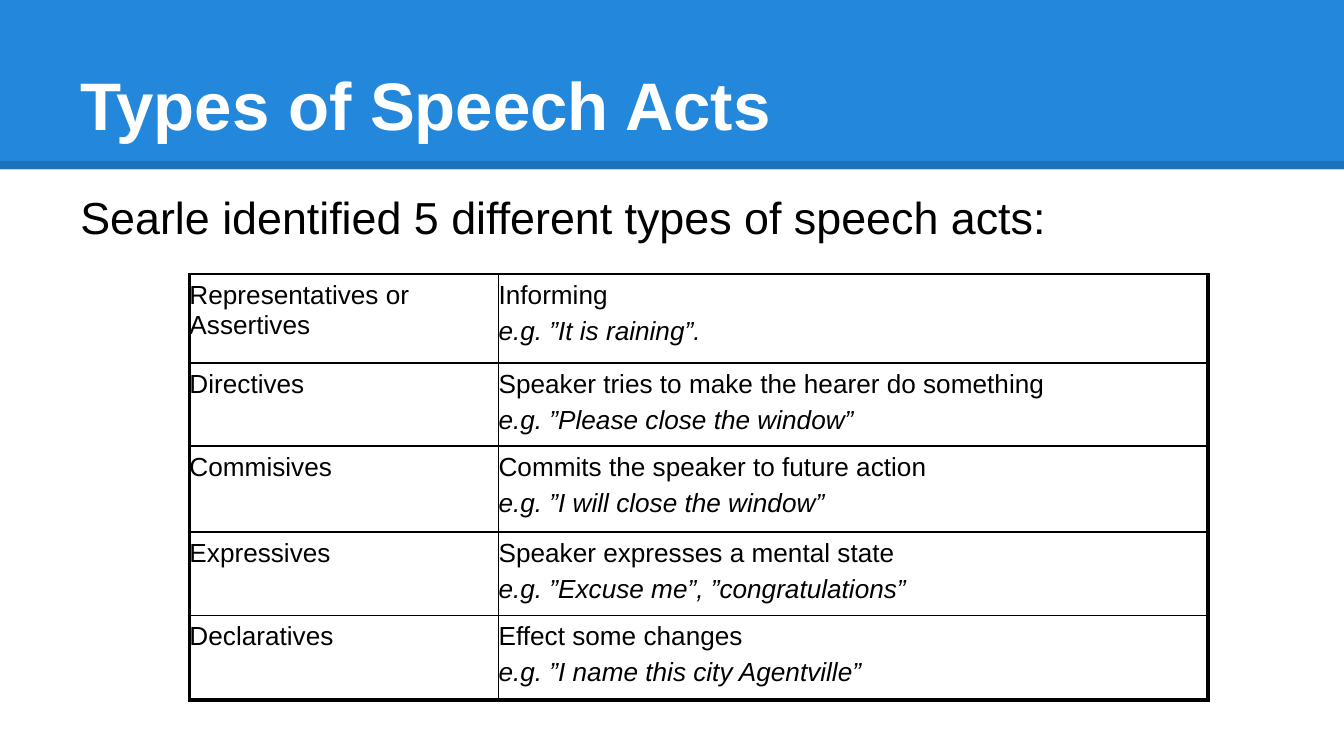
from lxml.etree import SubElement
from pptx import Presentation
from pptx.dml.color import RGBColor
from pptx.enum.shapes import MSO_CONNECTOR, MSO_SHAPE
from pptx.enum.text import MSO_ANCHOR
from pptx.oxml import parse_xml
from pptx.oxml.ns import nsdecls, qn
from pptx.util import Inches, Pt

BLACK, WHITE, BLUE = "000000", "FFFFFF", "2388DB"
THIN, THICK = 1, 2.25
PAGE_WIDTH = 10
PAGE_HEIGHT = PAGE_WIDTH * 9 / 16
SPEECH_ACTS = [
    ("Representatives or Assertives", "Informing", "e.g. ”It is raining”."),
    ("Directives", "Speaker tries to make the hearer do something",
     "e.g. ”Please close the window”"),
    ("Commisives", "Commits the speaker to future action",
     "e.g. ”I will close the window”"),
    ("Expressives", "Speaker expresses a mental state",
     "e.g. ”Excuse me”, ”congratulations”"),
    ("Declaratives", "Effect some changes",
     "e.g. ”I name this city Agentville”"),
]


def color(value):
    return RGBColor.from_string(value)


def style(para, size, value, bold=False, italic=False):
    for span in para.runs:
        span.font.name = "Arial"
        span.font.size = Pt(size)
        span.font.bold = bold
        span.font.italic = italic
        span.font.color.rgb = color(value)


def add_text(page, box, text, size, value, bold=False, anchor=MSO_ANCHOR.TOP, before=0):
    frame = page.shapes.add_textbox(*map(Inches, box)).text_frame
    frame.word_wrap = True
    frame.vertical_anchor = anchor
    frame.margin_left = frame.margin_right = Inches(0.1)
    frame.margin_top = frame.margin_bottom = Inches(0.1)
    frame.text = text
    para = frame.paragraphs[0]
    para.space_before = Pt(before)
    style(para, size, value, bold)


def add_header(page, box, title):
    left, top, width, height = box
    band = page.shapes.add_shape(MSO_SHAPE.RECTANGLE, *map(Inches, box))
    band.shadow.inherit = False
    band.fill.solid()
    band.fill.fore_color.rgb = color(BLUE)
    band.line.fill.background()

    edge = top + height - 0.03
    rule = page.shapes.add_connector(
        MSO_CONNECTOR.STRAIGHT,
        Inches(left), Inches(edge), Inches(left + width), Inches(edge))
    rule.line.width = Pt(4.5)
    rule.line.color.rgb = color(BLACK)
    properties = rule._element.spPr
    shade = properties.find(".//" + qn("a:srgbClr"))
    SubElement(shade, qn("a:alpha"), val="15000")
    SubElement(properties, qn("a:effectLst"))

    add_text(page, (left + 0.5, top + 0.23, width - 1, 0.94), title, 36, WHITE,
             bold=True, anchor=MSO_ANCHOR.BOTTOM)


def set_borders(cell, left, right, top, bottom):
    properties = cell._tc.get_or_add_tcPr()
    sides = {"lnL": left, "lnR": right, "lnT": top, "lnB": bottom}
    for index, (side, width) in enumerate(sides.items()):
        properties.insert(index, parse_xml(
            f'<a:{side} {nsdecls("a")} w="{Pt(width)}"><a:solidFill>'
            f'<a:srgbClr val="{BLACK}"/></a:solidFill>'
            f'<a:prstDash val="solid"/></a:{side}>'))


def fill_cell(cell, lines):
    cell.margin_left = cell.margin_right = 0
    cell.margin_top = cell.margin_bottom = Inches(0.05)
    cell.fill.solid()
    cell.fill.fore_color.rgb = color(WHITE)
    cell.text_frame.text = "\n".join(lines)
    for index, para in enumerate(cell.text_frame.paragraphs):
        para.space_before = Pt(3.6 * index)
        style(para, 14, BLACK, italic=index > 0)


def add_acts_table(page, left, top, columns, heights):
    box = (left, top, sum(columns), sum(heights))
    table = page.shapes.add_table(
        len(heights), len(columns), *map(Inches, box)).table
    table.first_row = table.horz_banding = False
    for column, width in zip(table.columns, columns):
        column.width = Inches(width)
    for row, height, (name, meaning, example) in zip(table.rows, heights, SPEECH_ACTS):
        row.height = Inches(height)
        bottom = THICK if name == SPEECH_ACTS[-1][0] else THIN
        label, detail = row.cells
        fill_cell(label, [name])
        fill_cell(detail, [meaning, example])
        set_borders(label, THICK, THIN, THIN, bottom)
        set_borders(detail, THIN, THICK, THIN, bottom)


def main():
    deck = Presentation()
    deck.slide_width, deck.slide_height = Inches(PAGE_WIDTH), Inches(PAGE_HEIGHT)
    page = deck.slides.add_slide(deck.slide_layouts[6])
    add_header(page, (0, 0, PAGE_WIDTH, 1.26), "Types of Speech Acts")
    add_text(page, (0.5, 1.31, 9, 0.73),
             "Searle identified 5 different types of speech acts:", 24, BLACK, before=6)
    add_acts_table(page, 1.41, 2.04, [2.3, 5.28], [0.66, 0.62, 0.64, 0.62, 0.63])
    deck.save("out.pptx")


if __name__ == "__main__":
    main()
